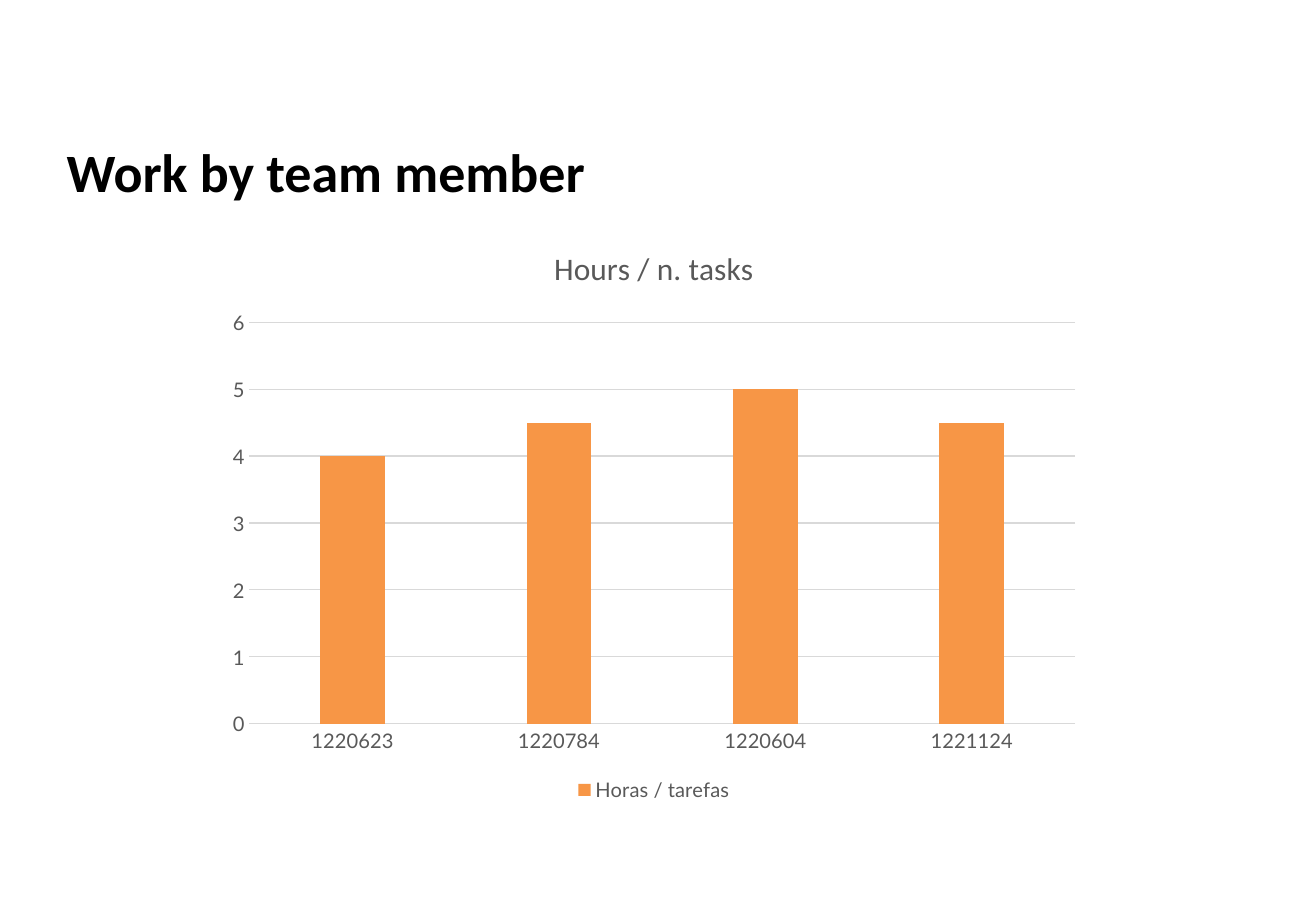
from pptx import Presentation
from pptx.chart.data import CategoryChartData
from pptx.dml.color import RGBColor
from pptx.enum.chart import XL_CHART_TYPE as ChartType
from pptx.enum.chart import XL_LEGEND_POSITION as LegendPosition
from pptx.enum.chart import XL_TICK_MARK as TickMark
from pptx.enum.text import MSO_ANCHOR as Anchor
from pptx.enum.text import PP_ALIGN as Align
from pptx.util import Cm, Pt

COLORS = {"heading": "000000", "label": "595959", "grid": "D9D9D9", "hours": "F79646"}
HOURS_PER_TASK = {"1220623": 4, "1220784": 4.5, "1220604": 5, "1221124": 4.5}


def color(name):
    return RGBColor.from_string(COLORS[name])


def set_font(font, name, size, color_name, bold=False):
    font.name, font.size, font.bold = name, Pt(size), bold
    font.color.rgb = color(color_name)


def set_line(line):
    line.color.rgb = color("grid")
    line.width = Pt(0.75)


def add_heading(slide, left, top, width, height):
    heading = slide.shapes.title
    heading.left, heading.top, heading.width, heading.height = left, top, width, height
    frame = heading.text_frame
    frame.text = "Work by team member"
    frame.word_wrap = True
    frame.vertical_anchor = Anchor.MIDDLE
    paragraph = frame.paragraphs[0]
    paragraph.alignment = Align.LEFT
    set_font(paragraph.font, "Calibri", 32, "heading", bold=True)


def add_hours_chart(slide, left, top, width, height):
    hours_data = CategoryChartData()
    hours_data.categories = list(HOURS_PER_TASK)
    hours_data.add_series("Horas / tarefas", list(HOURS_PER_TASK.values()))
    chart = slide.shapes.add_chart(
        ChartType.COLUMN_CLUSTERED, left, top, width, height, hours_data
    ).chart
    set_font(chart.font, "Lato", 11.9, "label")

    # Chart title
    chart.has_title = True
    title_frame = chart.chart_title.text_frame
    title_frame.text = "Hours / n. tasks"
    set_font(title_frame.paragraphs[0].font, "Calibri", 18.6, "label")
    chart.chart_title.include_in_layout = False

    # Legend
    chart.has_legend = True
    chart.legend.position = LegendPosition.BOTTOM
    chart.legend.include_in_layout = False

    # Columns
    plot = chart.plots[0]
    plot.gap_width, plot.overlap = 219, -27
    plot.vary_by_categories = False
    columns = plot.series[0]
    columns.format.fill.solid()
    columns.format.fill.fore_color.rgb = color("hours")

    # Axes
    members, hours = chart.category_axis, chart.value_axis
    for axis in (members, hours):
        axis.major_tick_mark = axis.minor_tick_mark = TickMark.NONE
        set_font(axis.tick_labels.font, "Lato", 11.9, "label")
    set_line(members.format.line)
    hours.minimum_scale, hours.maximum_scale, hours.major_unit = 0, 6, 1
    hours.format.line.fill.background()
    hours.has_major_gridlines = True
    set_line(hours.major_gridlines.format.line)


def main():
    deck = Presentation()
    deck.slide_width, deck.slide_height = Cm(27.51), Cm(19.05)
    slide = deck.slides.add_slide(deck.slide_layouts.get_by_name("Title Only"))
    add_heading(slide, Cm(1.14), Cm(2.77), Cm(25.12), Cm(1.6))
    add_hours_chart(slide, Cm(4.5), Cm(4.65), Cm(18.34), Cm(12.22))
    deck.save("out.pptx")


if __name__ == "__main__":
    main()
